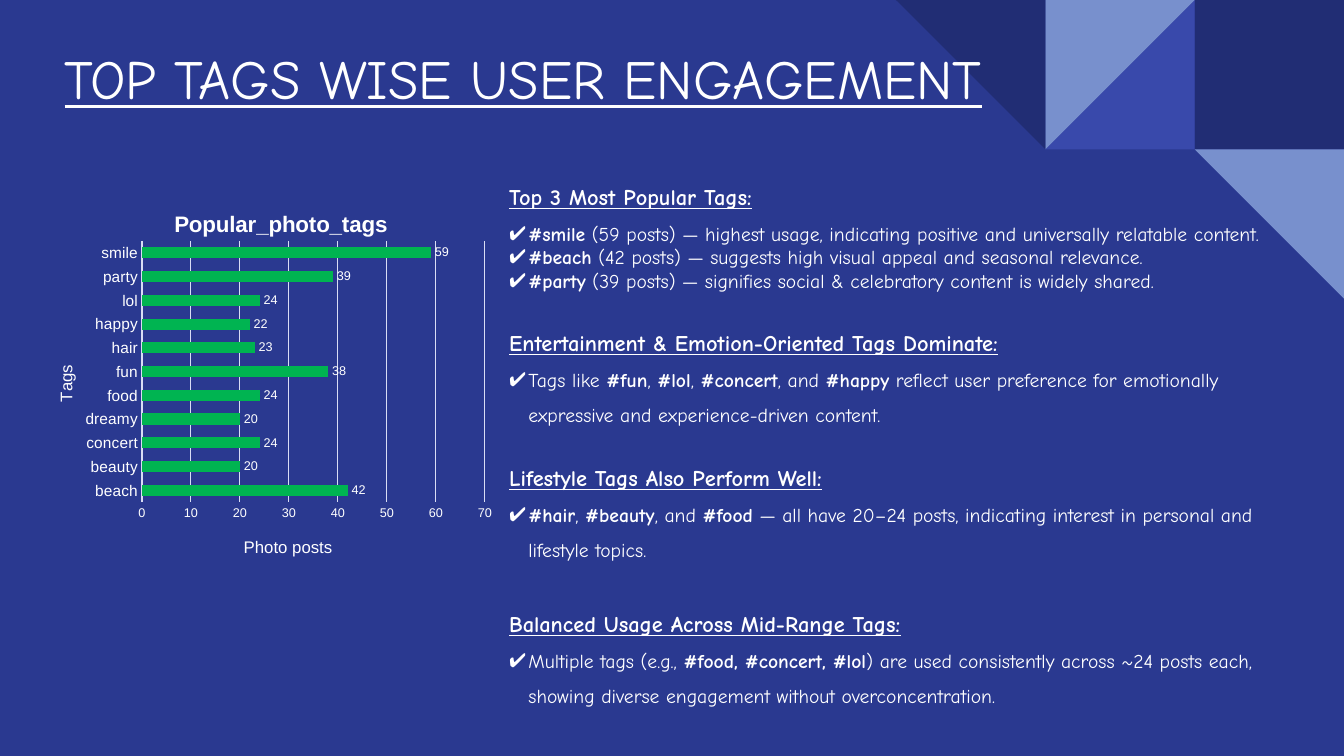
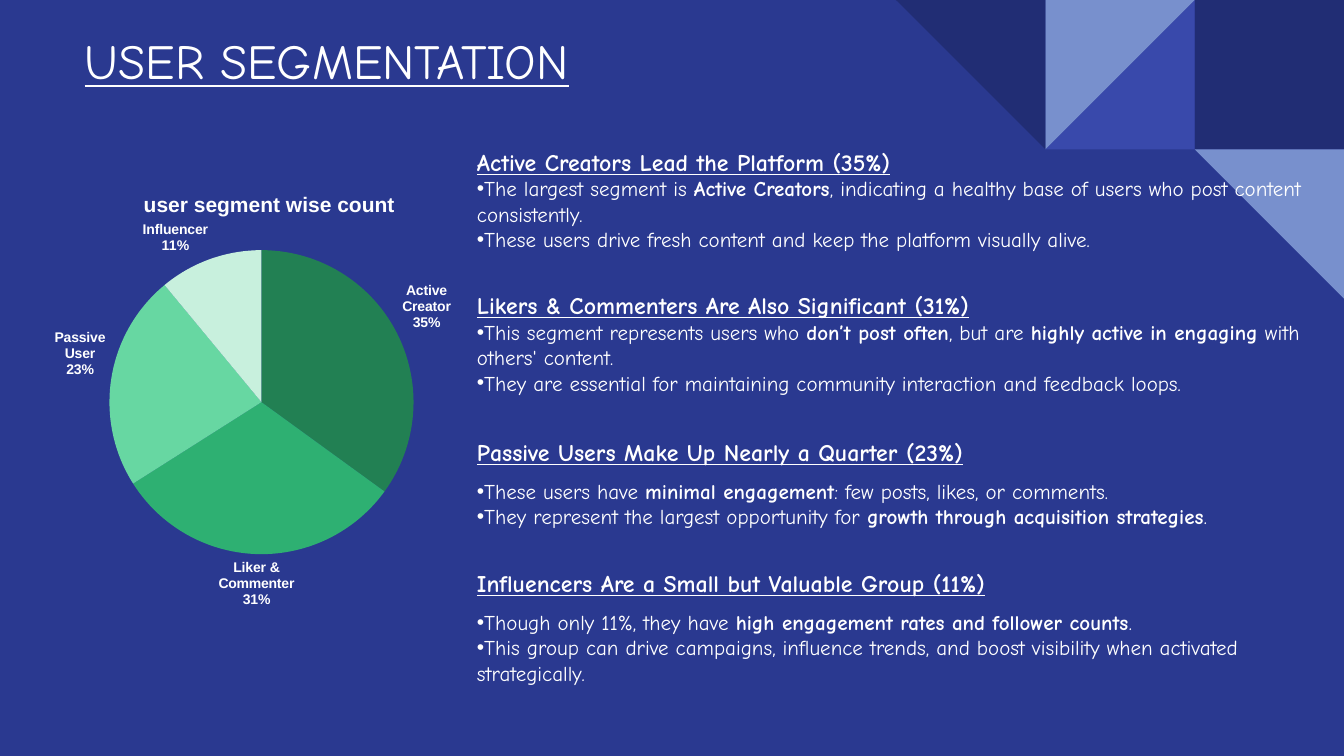
from dataclasses import dataclass

from lxml import etree
from pptx import Presentation
from pptx import util as u
from pptx.chart import data as chart_data
from pptx.dml import color
from pptx.enum import chart as charts, shapes, text
from pptx.oxml import ns

WIDTH, HEIGHT = 13.33, 7.5
TILE = WIDTH / 9
COLORS = {
    "background": "2A3990", "navy": "212D74", "indigo": "3949AB", "sky": "7890CD",
    "white": "FFFFFF", "grid": "D9DDF4", "bar": "00B451",
}
PIE_COLORS = ["228053", "2EB072", "67D7A2", "C8F0DD"]
TEXT_FONT, CHART_FONT = "Comic Neue", "Arial"


@dataclass(frozen=True)
class Box:
    """Left, top, width and height in inches."""
    left: float
    top: float
    width: float
    height: float

    def lengths(self):
        return [u.Inches(v) for v in (self.left, self.top, self.width, self.height)]


@dataclass(frozen=True)
class Tile:
    column: int
    row: int
    kind: shapes.MSO_SHAPE
    turn: int
    fill: str


@dataclass(frozen=True)
class Point:
    """A bullet; ** switches bold on and off."""
    words: str
    leading: float = 1.0


@dataclass(frozen=True)
class Section:
    heading: str
    points: list[Point]
    gap: float = 0


@dataclass(frozen=True)
class ListStyle:
    heading_size: float
    point_size: float
    bullet: str
    margin: float
    indent: float


RECT, CORNER = shapes.MSO_SHAPE.RECTANGLE, shapes.MSO_SHAPE.RIGHT_TRIANGLE
TILES = [
    Tile(8, 0, RECT, 0, "navy"),
    Tile(7, 0, CORNER, 270, "indigo"),
    Tile(7, 0, CORNER, 90, "sky"),
    Tile(6, 0, CORNER, 180, "navy"),
    Tile(8, 1, CORNER, 180, "sky"),
]

TAG_SECTIONS = [
    Section("Top 3 Most Popular Tags:", [
        Point("**#smile** (59 posts) — highest usage, indicating positive and universally "
              "relatable content.", 1.5),
        Point("**#beach** (42 posts) — suggests high visual appeal and seasonal relevance."),
        Point("**#party** (39 posts) — signifies social & celebratory content is widely shared."),
    ]),
    Section("Entertainment & Emotion-Oriented Tags Dominate:", [
        Point("Tags like **#fun**, **#lol**, **#concert**, and **#happy** reflect user preference "
              "for emotionally expressive and experience-driven content.", 1.5),
    ], 17),
    Section("Lifestyle Tags Also Perform Well:", [
        Point("**#hair**, **#beauty**, and **#food** — all have 20–24 posts, indicating interest "
              "in personal and lifestyle topics.", 1.5),
    ], 17),
    Section("Balanced Usage Across Mid-Range Tags:", [
        Point("Multiple tags (e.g., **#food, #concert, #lol**) are used consistently across ~24 "
              "posts each, showing diverse engagement without overconcentration.", 1.5),
    ], 25),
]
SEGMENT_SECTIONS = [
    Section("Active Creators Lead the Platform (35%)", [
        Point("The largest segment is **Active Creators**, indicating a healthy base of users "
              "who post content consistently."),
        Point("These users drive fresh content and keep the platform visually alive."),
    ]),
    Section("Likers & Commenters Are Also Significant (31%)", [
        Point("This segment represents users who **don’t post often**, but are **highly active "
              "in engaging** with others' content."),
        Point("They are essential for maintaining community interaction and feedback loops."),
    ], 18),
    Section("Passive Users Make Up Nearly a Quarter (23%)", [
        Point("These users have **minimal engagement**: few posts, likes, or comments.", 1.5),
        Point("They represent the largest opportunity for **growth through acquisition "
              "strategies**."),
    ], 20),
    Section("Influencers Are a Small but Valuable Group (11%)", [
        Point("Though only 11%, they have **high engagement rates and follower counts**.", 1.5),
        Point("This group can drive campaigns, influence trends, and boost visibility when "
              "activated strategically."),
    ], 18),
]
TAG_POSTS = {
    "beach": 42, "beauty": 20, "concert": 24, "dreamy": 20, "food": 24, "fun": 38,
    "hair": 23, "happy": 22, "lol": 24, "party": 39, "smile": 59,
}
SEGMENT_SHARES = {"Active Creator": 35, "Liker & Commenter": 31, "Passive User": 23,
                  "Influencer": 11}


def rgb(value: str) -> color.RGBColor:
    return color.RGBColor.from_string(COLORS.get(value, value))


# Text
def format_font(font, *, size: float, face: str = TEXT_FONT, bold: bool = False,
                underline: bool = False, fill: str = "white") -> None:
    font.size, font.name = u.Pt(size), face
    font.bold, font.underline = bold, underline
    font.color.rgb = rgb(fill)


def write(para, words: str, *, leading: float = 1.0, gap: float = 0, bold: bool = False,
          **style) -> None:
    para.alignment = text.PP_ALIGN.LEFT
    para.line_spacing, para.space_before, para.space_after = leading, u.Pt(gap), u.Pt(0)
    for index, part in enumerate(words.split("**")):
        if part:
            span = para.add_run()
            span.text = part
            format_font(span.font, bold=bold or index % 2 == 1, **style)


def set_bullet(para, sign: str = "", margin: float = 0, indent: float = 0) -> None:
    props = para._p.get_or_add_pPr()
    props.set("marL", str(u.Inches(margin)))
    props.set("indent", str(u.Inches(indent)))
    if not sign:
        etree.SubElement(props, ns.qn("a:buNone"))
        return
    tint = etree.SubElement(props, ns.qn("a:buClr"))
    etree.SubElement(tint, ns.qn("a:srgbClr")).set("val", COLORS["white"])
    etree.SubElement(props, ns.qn("a:buFont")).set("typeface", CHART_FONT)
    etree.SubElement(props, ns.qn("a:buChar")).set("char", sign)


def prepare(holder, box: Box):
    holder.left, holder.top, holder.width, holder.height = box.lengths()
    frame = holder.text_frame
    frame.auto_size, frame.word_wrap = text.MSO_AUTO_SIZE.NONE, True
    frame.vertical_anchor = text.MSO_ANCHOR.MIDDLE
    return frame


def fill_title(page, words: str, box: Box, size: float) -> None:
    frame = prepare(page.shapes.title, box)
    write(frame.paragraphs[0], words, leading=0.9, size=size, underline=True)


def fill_body(page, sections: list[Section], box: Box, style: ListStyle) -> None:
    frame = prepare(page.placeholders[1], box)
    frame.margin_bottom = u.Inches(0.2)
    para = frame.paragraphs[0]
    for section in sections:
        if section is not sections[0]:
            para = frame.add_paragraph()
        write(para, section.heading, leading=1.5, gap=section.gap, bold=True,
              size=style.heading_size, underline=True)
        set_bullet(para)
        for point in section.points:
            para = frame.add_paragraph()
            write(para, point.words, leading=point.leading, size=style.point_size)
            set_bullet(para, style.bullet, style.margin, style.indent)


# Shared backdrop, kept in the layout
def decorate(deck, layout, page) -> None:
    fill = deck.slide_master.background.fill
    fill.solid()
    fill.fore_color.rgb = rgb("background")
    for tile in TILES:
        box = Box(tile.column * TILE, tile.row * TILE, TILE, TILE)
        shape = page.shapes.add_shape(tile.kind, *box.lengths())
        shape.rotation, shape.shadow.inherit = tile.turn, False
        shape.fill.solid()
        shape.fill.fore_color.rgb = rgb(tile.fill)
        shape.line.fill.background()
        layout.shapes.element.append(shape.element)


# Charts
def place(part, **shares: float) -> None:
    """Position a chart part by shares of the chart's size."""
    for old in part.findall(ns.qn("c:layout")):
        part.remove(old)
    layout = etree.Element(ns.qn("c:layout"))
    manual = etree.SubElement(layout, ns.qn("c:manualLayout"))
    settings = {"xMode": "edge", "yMode": "edge", **shares}
    if "w" in shares:
        settings = {"layoutTarget": "inner", **settings}
    for key, value in settings.items():
        etree.SubElement(manual, ns.qn(f"c:{key}")).set("val", str(value))
    words = part.find(ns.qn("c:tx"))
    part.insert(0 if words is None else 1, layout)


def name_part(owner, words: str, x: float, y: float, **style) -> None:
    title = owner.chart_title if hasattr(owner, "chart_title") else owner.axis_title
    title.text_frame.text = words
    span = title.text_frame.paragraphs[0].runs[0]
    format_font(span.font, face=CHART_FONT, **style)
    place(title._element, x=x, y=y)


def add_chart(page, kind, values: dict[str, int], box: Box):
    data = chart_data.CategoryChartData()
    data.categories = list(values)
    data.add_series("Series 1", list(values.values()))
    chart = page.shapes.add_chart(kind, *box.lengths(), data).chart
    chart.has_legend = False
    format_font(chart.font, size=10, face=CHART_FONT)
    return chart


def label_plot(plot, **style):
    plot.has_data_labels = True
    labels = plot.data_labels
    labels.position = charts.XL_LABEL_POSITION.OUTSIDE_END
    format_font(labels.font, face=CHART_FONT, **style)
    return labels


def add_tag_bars(page) -> None:
    chart = add_chart(page, charts.XL_CHART_TYPE.BAR_CLUSTERED, TAG_POSTS,
                      Box(0.29, 1.81, 4.66, 3.87))
    name_part(chart, "Popular_photo_tags", 0.3, 0.06, size=16, bold=True)
    place(chart._chartSpace.chart.plotArea, x=0.24, y=0.15, w=0.73, h=0.67)
    plot = chart.plots[0]
    plot.gap_width, plot.overlap, plot.vary_by_categories = 115, -20, False
    fill = plot.series[0].format.fill
    fill.solid()
    fill.fore_color.rgb = rgb("bar")
    label_plot(plot, size=9).show_value = True
    tags, posts = chart.category_axis, chart.value_axis
    name_part(tags, "Tags", 0.05, 0.46, size=12)
    name_part(posts, "Photo posts", 0.45, 0.9, size=12)
    for axis, size in ((tags, 11), (posts, 9)):
        axis.major_tick_mark = charts.XL_TICK_MARK.NONE
        format_font(axis.tick_labels.font, size=size, face=CHART_FONT)
    posts.minimum_scale, posts.maximum_scale, posts.major_unit = 0, 70, 10
    posts.format.line.fill.background()
    for line, width in ((tags.format.line, 1), (posts.major_gridlines.format.line, 0.75)):
        line.color.rgb, line.width = rgb("grid"), u.Pt(width)


def add_segment_pie(page) -> None:
    chart = add_chart(page, charts.XL_CHART_TYPE.PIE, SEGMENT_SHARES,
                      Box(0.31, 1.68, 4.31, 4.36))
    name_part(chart, "user segment wise count", 0.25, 0.04, size=15, bold=True)
    place(chart._chartSpace.chart.plotArea, x=0.18, y=0.18, w=0.7, h=0.7)
    plot = chart.plots[0]
    for index, value in enumerate(PIE_COLORS):
        fill = plot.series[0].points[index].format.fill
        fill.solid()
        fill.fore_color.rgb = rgb(value)
    labels = label_plot(plot, size=10, bold=True)
    labels.show_value, labels.show_category_name, labels.show_percentage = False, True, True
    separator = etree.Element(ns.qn("c:separator"))
    separator.text = "\n"
    labels._element.find(ns.qn("c:showBubbleSize")).addnext(separator)


def main() -> None:
    deck = Presentation()
    deck.slide_width, deck.slide_height = u.Inches(WIDTH), u.Inches(HEIGHT)
    layout = deck.slide_layouts[1]

    # Tag engagement
    page = deck.slides.add_slide(layout)
    decorate(deck, layout, page)
    fill_title(page, "TOP TAGS WISE USER ENGAGEMENT", Box(0.54, 0.24, 12.26, 1.14), 39.4)
    fill_body(page, TAG_SECTIONS, Box(4.95, 1.68, 8.15, 5.49),
              ListStyle(16, 14, "✔", 0.19, -0.19))
    add_tag_bars(page)

    # User segments
    page = deck.slides.add_slide(layout)
    fill_title(page, "USER SEGMENTATION", Box(0.74, 0.1, 8.52, 1.07), 35)
    fill_body(page, SEGMENT_SECTIONS, Box(4.63, 1.45, 8.52, 5.37),
              ListStyle(17, 15, "•", 0, -0.1))
    add_segment_pie(page)

    deck.save("out.pptx")


if __name__ == "__main__":
    main()
